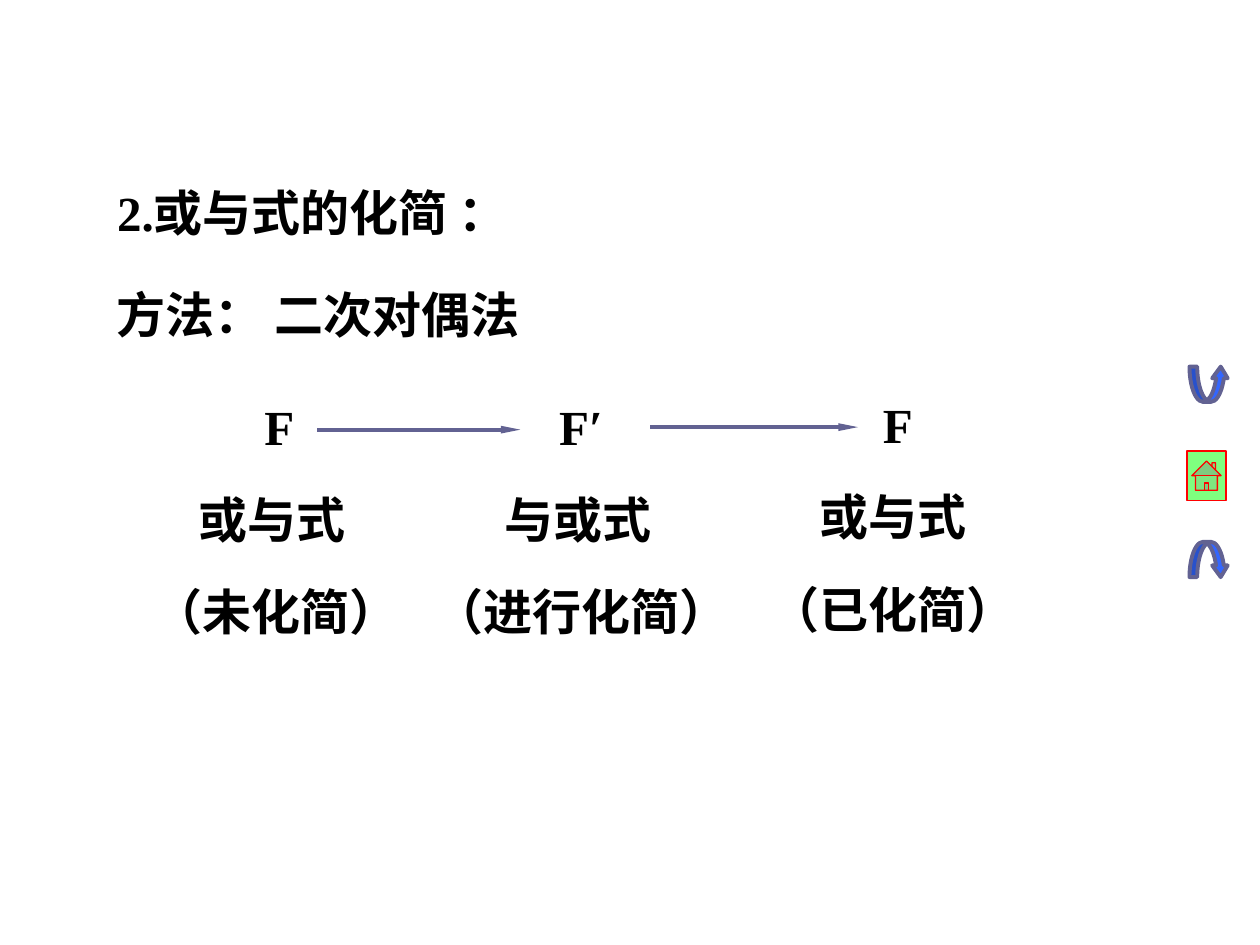
from lxml import etree
from pptx import Presentation
from pptx.dml.color import RGBColor
from pptx.enum.shapes import MSO_CONNECTOR, MSO_SHAPE
from pptx.enum.text import MSO_ANCHOR, MSO_AUTO_SIZE, PP_ALIGN
from pptx.oxml.ns import qn
from pptx.util import Inches, Pt

STRAIGHT = MSO_CONNECTOR.STRAIGHT
ARROW_UP = MSO_SHAPE.CURVED_UP_ARROW
ARROW_DOWN = MSO_SHAPE.CURVED_DOWN_ARROW
HOME = MSO_SHAPE.ACTION_BUTTON_HOME
LEFT, TOP = PP_ALIGN.LEFT, MSO_ANCHOR.TOP
FIT = MSO_AUTO_SIZE.SHAPE_TO_FIT_TEXT

# Grid of 100 columns by 75 rows
COLUMNS, ROWS = 100, 75
UNIT = Inches(0.1)
LINE_HEIGHT = 5.7
STAGE_PITCH = 7.35

INK, SLATE, BLUE, GREEN, RED = "000000", "626292", "3366FF", "00FF00", "FF0000"


def grid(*units):
    return [round(unit * UNIT) for unit in units]


def color(hex_string):
    return RGBColor.from_string(hex_string)


def write(frame, text):
    frame.word_wrap = True
    frame.auto_size = FIT
    frame.vertical_anchor = TOP
    paragraph = frame.paragraphs[0]
    paragraph.text = text
    paragraph.alignment = LEFT
    font = paragraph.font
    font.name, font.size, font.bold = "Times New Roman", Pt(28), True
    font.color.rgb = color(INK)


def add_label(slide, text, left, top, width):
    label = slide.shapes.add_textbox(*grid(left, top, width, LINE_HEIGHT))
    write(label.text_frame, text)


def add_heading(slide, left, top):
    """Title line with the method line below it."""
    heading = slide.shapes.title
    heading.left, heading.top, heading.width, heading.height = grid(
        left, top, 55.4, LINE_HEIGHT)
    write(heading.text_frame, "2.或与式的化简 ：")
    add_label(slide, "方法： 二次对偶法", left, top + 8.1, 84.7)


def add_stage(slide, left, top, lines):
    """One stage: symbol, form and state, each (text, indent, width)."""
    for row, (text, indent, width) in enumerate(lines):
        add_label(slide, text, left + indent, top + row * STAGE_PITCH, width)


def add_arrow(slide, left, right, level):
    arrow = slide.shapes.add_connector(STRAIGHT, *grid(left, level, right, level))
    arrow.line.color.rgb = color(SLATE)
    arrow.line.width = Pt(2.25)
    etree.SubElement(arrow.line._get_or_add_ln(), qn("a:tailEnd"),
                     type="triangle", w="sm", len="lg")
    etree.SubElement(arrow._element.spPr, qn("a:effectLst"))


def add_button(slide, kind, box, fill, line, line_width):
    button = slide.shapes.add_shape(kind, *grid(*box))
    button.shadow.inherit = False
    button.fill.solid()
    button.fill.fore_color.rgb = color(fill)
    button.line.color.rgb = color(line)
    button.line.width = Pt(line_width)
    return button


def add_navigation(slide, left, top):
    """Back, home and forward buttons, one under another."""
    for kind, drop in ((ARROW_UP, 0), (ARROW_DOWN, 13.9)):
        turn = add_button(slide, kind, (left + 0.2, top + drop, 3.1, 2.8),
                          BLUE, SLATE, 2.25)
        for index, share in enumerate((0.22, 0.44, 0.33)):
            turn.adjustments[index] = share
    home = add_button(slide, HOME, (left, top + 6.7, 3.1, 3.9), GREEN, RED, 0.75)
    green = home._element.spPr.find(qn("a:solidFill"))[0]
    etree.SubElement(green, qn("a:alpha"), val="50000")


def main():
    deck = Presentation()
    deck.slide_width, deck.slide_height = grid(COLUMNS, ROWS)
    slide = deck.slides.add_slide(deck.slide_layouts[5])

    add_navigation(slide, 94.2, 29.1)
    add_heading(slide, 8.3, 14)

    # Simplification steps from left to right
    add_stage(slide, 11.2, 31, (
        ("F", 8.8, 5.4), ("或与式", 3.6, 15.7), ("（未化简）", 0, 21.6)))
    add_stage(slide, 33.5, 31, (
        ("F′", 9.9, 9.3), ("与或式", 5.6, 15.7), ("（进行化简）", 0, 27.6)))
    add_stage(slide, 60.2, 30.8, (
        ("F", 8.9, 5.4), ("或与式", 3.9, 15.7), ("（已化简）", 0, 22.6)))
    add_arrow(slide, 25.2, 41.3, 34.1)
    add_arrow(slide, 51.6, 68.1, 33.9)

    deck.save("out.pptx")


if __name__ == "__main__":
    main()
